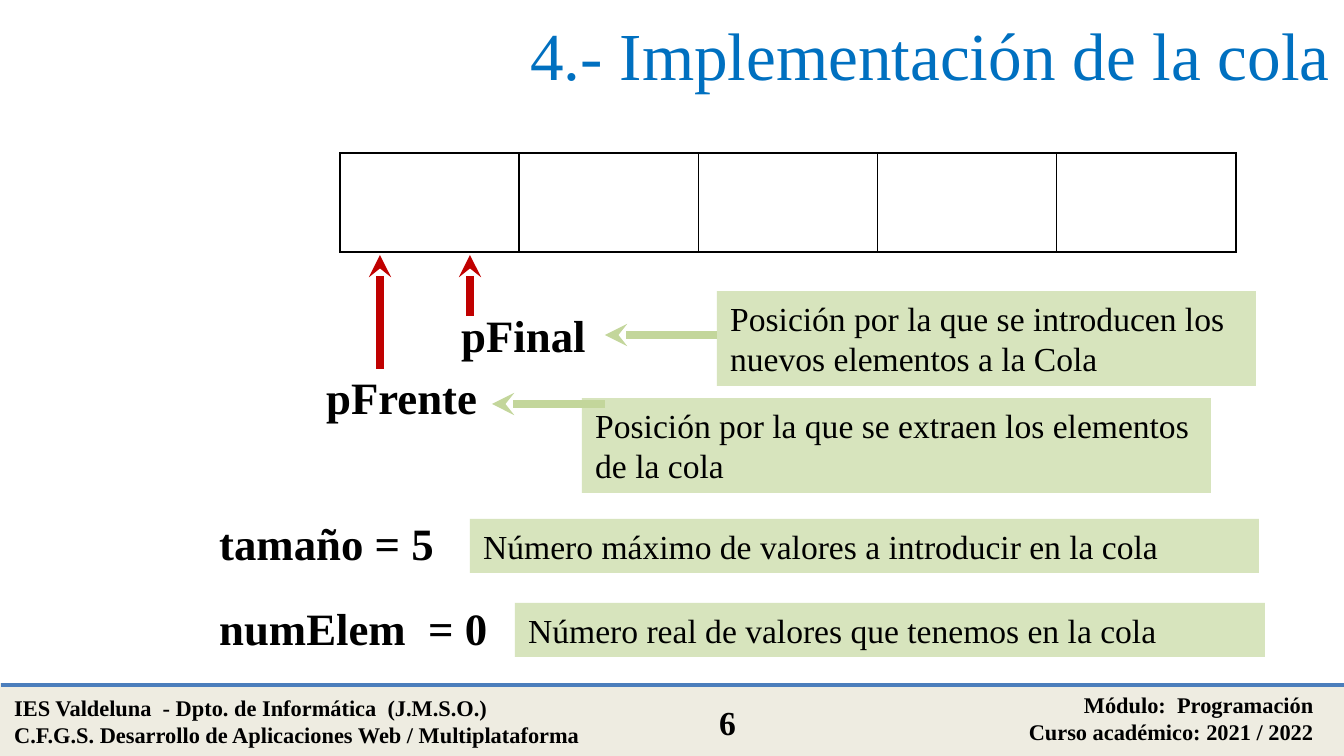
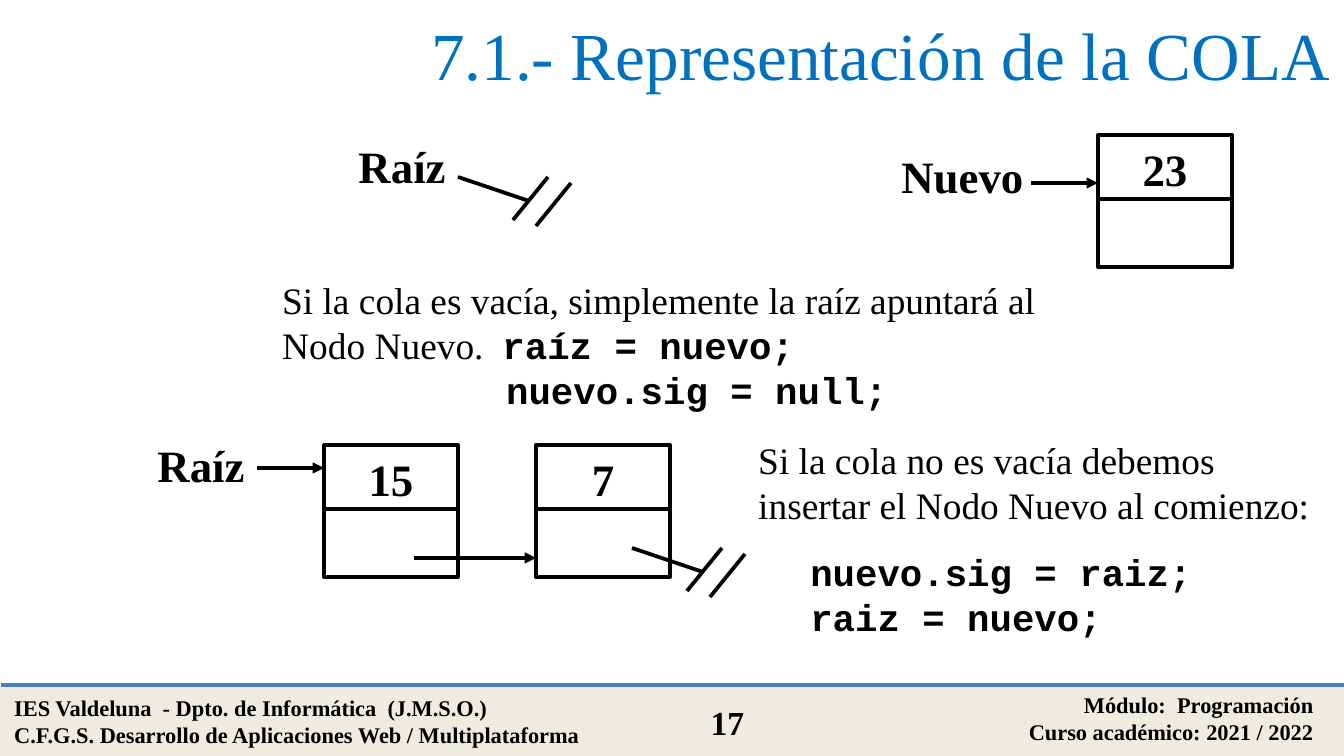
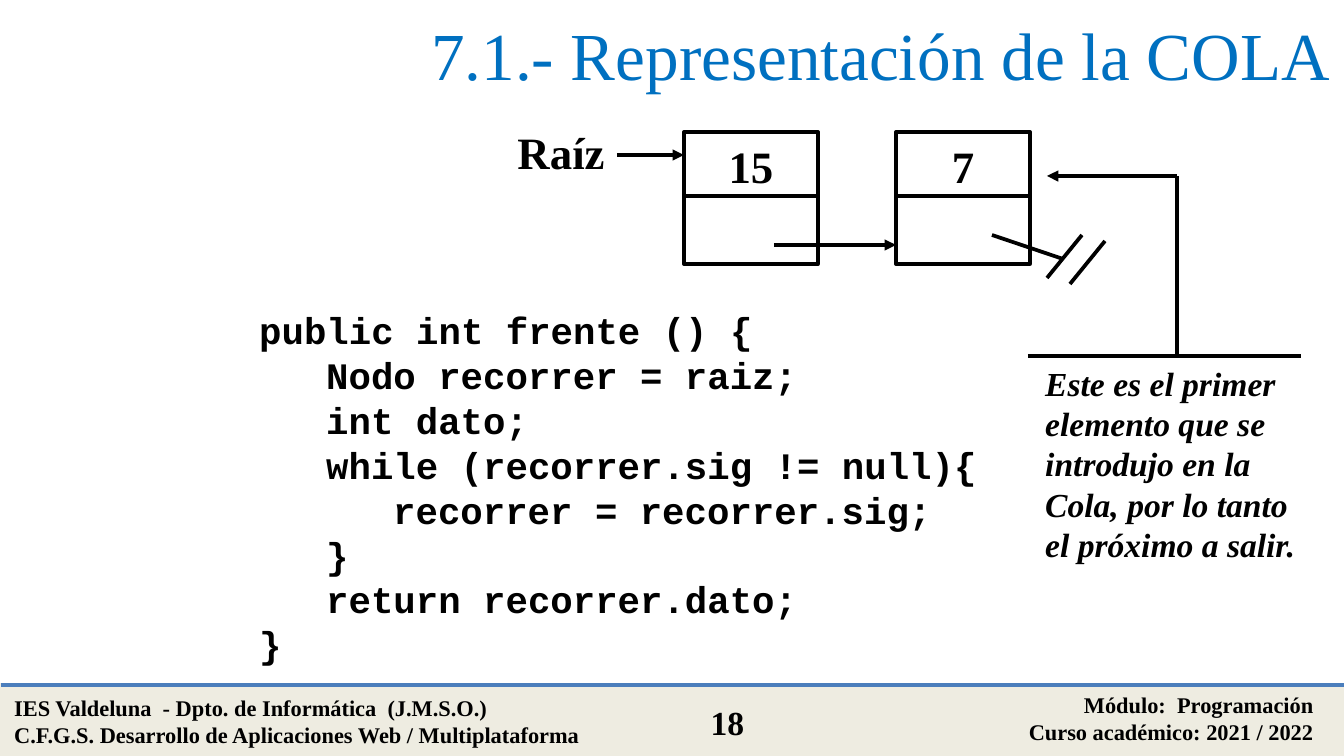
"""Build three slides about implementing a queue with an array and with linked nodes."""
from collections import namedtuple
from dataclasses import dataclass

from lxml.etree import SubElement
from pptx import Presentation
from pptx.dml.color import RGBColor
from pptx.enum.shapes import MSO_CONNECTOR, MSO_SHAPE
from pptx.enum.text import MSO_ANCHOR, MSO_AUTO_SIZE, PP_ALIGN
from pptx.oxml.ns import qn
from pptx.util import Emu, Pt


@dataclass(frozen=True)
class Theme:
    ink: str = "000000"
    paper: str = "FFFFFF"
    title: str = "0070C0"
    band: str = "EEECE1"
    rule: str = "4B7EBC"
    pointer: str = "C00000"
    note: str = "D7E4BD"
    note_arrow: str = "C3D69B"
    serif: str = "Times New Roman"
    mono: str = "Courier New"
    title_size: int = 36
    label_size: int = 24
    body_size: int = 20
    note_size: int = 18
    footer_size: int = 12
    line: int = 2
    thick: int = 4


THEME = Theme()
STYLES = {
    "title": dict(name=THEME.serif, size=Pt(THEME.title_size), bold=False),
    "label": dict(name=THEME.serif, size=Pt(THEME.label_size), bold=True),
    "body": dict(name=THEME.serif, size=Pt(THEME.body_size), bold=False),
    "code": dict(name=THEME.mono, size=Pt(THEME.body_size), bold=True),
    "note": dict(name=THEME.serif, size=Pt(THEME.note_size), bold=False),
    "remark": dict(name=THEME.serif, size=Pt(THEME.note_size), bold=True, italic=True),
    "number": dict(name=THEME.serif, size=Pt(THEME.note_size), bold=True),
    "footer": dict(name=THEME.serif, size=Pt(THEME.footer_size), bold=True),
}
LEFT, CENTER, RIGHT = PP_ALIGN.LEFT, PP_ALIGN.CENTER, PP_ALIGN.RIGHT
SCALE = 914400 / 134.4
WIDTH, HEIGHT = 1344, 756
Para = namedtuple("Para", "spans indent before", defaults=(0, 0))


def add_box(page, place, paras=(), align=LEFT, fill=None, outline=None, box=None):
    """Place a box, or the given placeholder, and write its paragraphs."""
    left, top, width, height = (Emu(round(value * SCALE)) for value in place)
    if box is not None:
        for name, value in dict(left=left, top=top, width=width, height=height).items():
            setattr(box, name, value)
    elif fill:
        box = page.shapes.add_shape(MSO_SHAPE.RECTANGLE, left, top, width, height)
        box.shadow.inherit = False
        box.fill.solid()
        box.fill.fore_color.rgb = RGBColor.from_string(fill)
        if outline:
            box.line.color.rgb = RGBColor.from_string(outline)
            box.line.width = Pt(THEME.line)
        else:
            box.line.fill.background()
    else:
        box = page.shapes.add_textbox(left, top, width, height)
    frame = box.text_frame
    settings = dict(word_wrap=True, auto_size=MSO_AUTO_SIZE.NONE,
                    vertical_anchor=MSO_ANCHOR.MIDDLE if box.is_placeholder else MSO_ANCHOR.TOP)
    for name, value in settings.items():
        setattr(frame, name, value)
    for index, content in enumerate(paras):
        para = frame.add_paragraph() if index else frame.paragraphs[0]
        para.alignment = align
        para.space_before = Pt(content.before)
        if content.indent:
            para._p.get_or_add_pPr().set("marL", str(round(content.indent * SCALE)))
        for style, text in content.spans:
            span = para.add_run()
            span.text = text
            for name, value in STYLES[style].items():
                setattr(span.font, name, value)
            color = THEME.title if style == "title" else THEME.ink
            span.font.color.rgb = RGBColor.from_string(color)


def add_line(page, start, end, color=THEME.ink, width=THEME.line, head=None):
    """Draw a straight line, with an arrowhead at its end if one is named."""
    points = [Emu(round(value * SCALE)) for value in (*start, *end)]
    line = page.shapes.add_connector(MSO_CONNECTOR.STRAIGHT, *points)
    line.line.color.rgb = RGBColor.from_string(color)
    line.line.width = Pt(width)
    if head:
        SubElement(line.line._get_or_add_ln(), qn("a:tailEnd"), type=head)
    SubElement(line._element.spPr, qn("a:effectLst"))


deck = Presentation()
deck.slide_width = Emu(round(WIDTH * SCALE))
deck.slide_height = Emu(round(HEIGHT * SCALE))

FOOTERS = [
    ((1, 688, 626, 67), LEFT, ["IES Valdeluna  - Dpto. de Informática  (J.M.S.O.)",
                               "C.F.G.S. Desarrollo de Aplicaciones Web / Multiplataforma"]),
    ((789, 685, 538, 67), RIGHT, ["Módulo:  Programación", "Curso académico: 2021 / 2022"]),
]
pages = []
for number, heading, title_left in [
    (6, "4.- Implementación de la cola", 177),
    (17, "7.1.- Representación de la COLA", 1),
    (18, "7.1.- Representación de la COLA", 1),
]:
    page = deck.slides.add_slide(deck.slide_layouts[5])
    add_box(page, (1, 685, WIDTH, 70), fill=THEME.band, outline=THEME.band)
    add_line(page, (1, 685), (WIDTH + 1, 685), THEME.rule)
    for place, align, texts in FOOTERS:
        add_box(page, place, [Para([("footer", text)]) for text in texts], align)
    add_box(page, (673, 695, 109, 54), [Para([("number", str(number))])], CENTER)
    add_box(page, (title_left, -3, WIDTH - title_left, 113), [Para([("title", heading)])],
            RIGHT, box=page.shapes.title)
    pages.append(page)
array_page, insert_page, front_page = pages

CELLS, CELL_WIDTH, CELL_HEIGHT = 5, 179.2, 99
grid = array_page.shapes.add_table(1, CELLS, *(
    Emu(round(value * SCALE)) for value in (340, 153, CELLS * CELL_WIDTH, CELL_HEIGHT))).table
grid.first_row = grid.horz_banding = False
for cell in grid.iter_cells():
    properties = cell._tc.get_or_add_tcPr()
    for side in ("lnL", "lnR", "lnT", "lnB"):
        border = SubElement(properties, qn(f"a:{side}"), w=str(Pt(1)))
        SubElement(SubElement(border, qn("a:solidFill")), qn("a:srgbClr"), val=THEME.ink)
    cell.fill.background()

for left, top, width, text in [
    (448, 301, 269, "pFinal"),
    (313, 363, 269, "pFrente"),
    (206, 509, 269, "tamaño = 5"),
    (206, 594, 309, "numElem  = 0"),
]:
    add_box(array_page, (left, top, width, 67), [Para([("label", text)])])
for place, text in [
    ((717, 291, 539, 95), "Posición por la que se introducen los nuevos elementos a la Cola"),
    ((582, 398, 629, 95), "Posición por la que se extraen los elementos de la cola"),
    ((470, 519, 789, 54), "Número máximo de valores a introducir en la cola"),
    ((515, 603, 750, 54), "Número real de valores que tenemos en la cola"),
]:
    add_box(array_page, place, [Para([("note", text)])], fill=THEME.note)
for start, end, color in [
    ((470, 316), (470, 255), THEME.pointer),
    ((380, 369), (380, 255), THEME.pointer),
    ((717, 335), (605, 335), THEME.note_arrow),
    ((605, 404), (492, 404), THEME.note_arrow),
]:
    add_line(array_page, start, end, color, THEME.thick, "stealth")

NODE_WIDTH, NODE_STEP = 134, 212
CHAINS = [(insert_page, 324, 445), (front_page, 684, 132)]
nodes = [(insert_page, 1098, 135, "23")]
labels = [(insert_page, 290, 132, 224, "Raíz"), (insert_page, 878, 142, 180, "Nuevo ")]
arrows = [(insert_page, (1031, 183), (1098, 183)), (front_page, (1177, 176), (1047, 176))]
null_marks = [(insert_page, 458, 177)]
for page, left, top in CHAINS:
    nodes += [(page, left + index * NODE_STEP, top, value) for index, value in enumerate(("15", "7"))]
    labels.append((page, left - 235, top - 14, 224, "Raíz"))
    arrows.append((page, (left - 67, top + 23), (left, top + 23)))
    arrows.append((page, (left + 90, top + 113), (left + NODE_STEP, top + 113)))
    null_marks.append((page, left + 308, top + 103))

for page, left, top, value in nodes:
    add_box(page, (left, top, NODE_WIDTH, 67), [Para([("label", value)])], CENTER,
            THEME.paper, THEME.ink)
    add_box(page, (left, top + 64, NODE_WIDTH, 68), fill=THEME.paper, outline=THEME.ink)
for page, left, top, width, text in labels:
    add_box(page, (left, top, width, 67), [Para([("label", text)])], CENTER)
for page, start, end in arrows:
    add_line(page, start, end, head="triangle")
for page, left, top in null_marks:
    for x1, y1, x2, y2 in [(0, 0, 71, 24), (55, 43, 90, 0), (78, 49, 113, 6)]:
        add_line(page, (left + x1, top + y1), (left + x2, top + y2))

add_box(insert_page, (269, 271, 808, 149), [
    Para([("body", "Si la cola es vacía, simplemente la raíz apuntará al Nodo Nuevo.  "),
          ("code", "raíz = nuevo;")]),
    Para([("code", "nuevo.sig = null;")], indent=224),
])
add_box(insert_page, (745, 431, 586, 218), [
    Para([("body", "Si la cola no es vacía debemos insertar el Nodo Nuevo al comienzo:")]),
    Para([("code", "nuevo.sig = raiz;")], indent=52, before=12),
    Para([("code", "raiz = nuevo;")], indent=52),
])

CODE_INDENT = 67
add_box(front_page, (246, 301, 898, 375), [
    Para([("code", text)], indent=level * CODE_INDENT) for level, text in [
        (0, "public int frente () {"),
        (1, "Nodo recorrer = raiz;"),
        (1, "int dato;"),
        (1, "while (recorrer.sig != null){"),
        (2, "recorrer = recorrer.sig;"),
        (1, "}"),
        (1, "return recorrer.dato;"),
        (0, "}"),
    ]
])
add_box(front_page, (1032, 356, 292, 218), [Para([("remark",
        "Este es el primer elemento que se introdujo en la Cola, "
        "por lo tanto el próximo a salir.")])])
add_line(front_page, (1028, 356), (1301, 356))
add_line(front_page, (1177, 356), (1177, 176))

deck.save("out.pptx")
